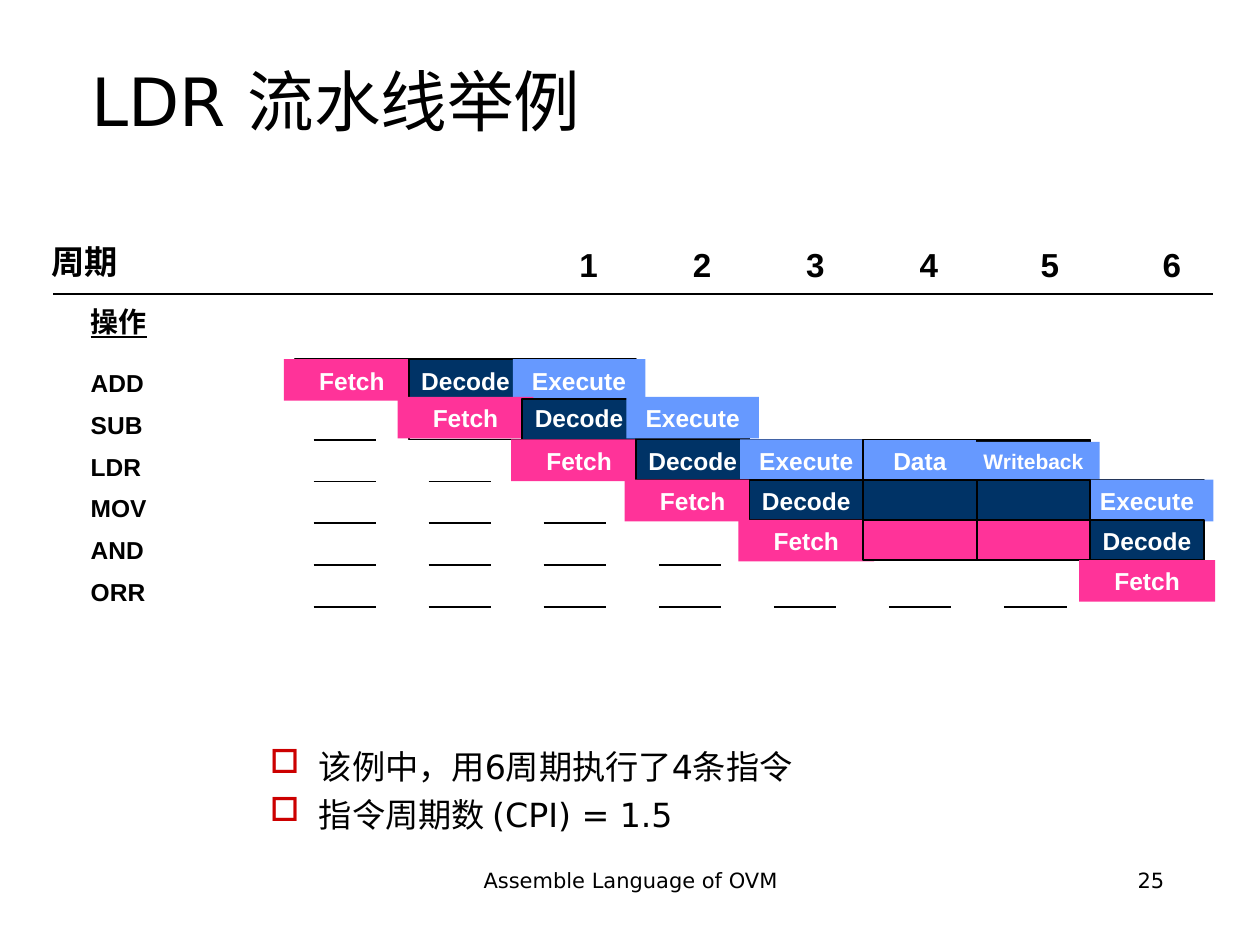
from dataclasses import dataclass

from lxml import etree
from pptx import Presentation
from pptx import util as u
from pptx.dml.color import RGBColor
from pptx.enum import shapes, text
from pptx.oxml.ns import qn


@dataclass(frozen=True)
class Theme:
    body_font: str = "DejaVu Sans"
    diagram_font: str = "Arial"
    ink: str = "000000"
    light: str = "FFFFFF"
    bullet: str = "CC0000"
    grey: str = "DDDDDD"
    pink: str = "FF3399"
    navy: str = "003366"
    blue: str = "6699FF"
    title_size: int = 38
    heading_size: int = 19
    subheading_size: int = 16
    label_size: int = 14
    small_size: int = 12


THEME = Theme()
TITLE = "LDR 流水线举例"
CONCLUSIONS = ["该例中，用6周期执行了4条指令", "指令周期数 (CPI) = 1.5"]
FOOTER, PAGE = "Assemble Language of OVM", "25"
CYCLES = "\t1\t2\t3\t4\t5\t6"
CYCLE_TABS = [0.66, 2.95, 5.23, 7.52, 9.96, 12.42]

# instruction, dashes before it, its stages as (column, stage)
PIPELINE = [
    ("ADD", 0, [(0, "Fetch"), (1, "Decode"), (2, "Execute")]),
    ("SUB", 1, [(1, "Fetch"), (2, "Decode"), (3, "Execute")]),
    ("LDR", 2, [(2, "Fetch"), (3, "Decode"), (4, "Execute"), (5, "Data"), (6, "Writeback")]),
    ("MOV", 3, [(3, "Fetch"), (4, "Decode"), (7, "Execute"),
                (5, "Decode stall"), (6, "Decode stall")]),
    ("AND", 4, [(4, "Fetch"), (7, "Decode"), (5, "Fetch stall"), (6, "Fetch stall")]),
    ("ORR", 7, [(7, "Fetch")]),
]
# stage: cell colour, label colour (None is clear), label width
STAGES = {
    "Fetch": (THEME.grey, THEME.pink, 2.74),
    "Decode": (THEME.navy, None, 2.74),
    "Execute": (THEME.ink, THEME.blue, 2.67),
    "Data": (THEME.blue, None, 2.67),
    "Writeback": (THEME.ink, THEME.blue, 2.67),
}
STALLS = {"Decode stall": THEME.navy, "Fetch stall": THEME.pink}

GRID_LEFT, GRID_TOP, CELL_W, CELL_H = 5.95, 7.24, 2.29, 0.81
LABEL_H = 0.84
NAMES_LEFT, NAMES_TOP, NAME_PITCH = 1.65, 7.42, 0.84
DASH_LEFT, DASH_PITCH, DASH_W, DASH_DROP = 6.32, 2.32, 1.26, 0.61
NARROW, WIDE = (0.18, 0.08), (0.25, 0.13)

prs = Presentation()
prs.slide_width, prs.slide_height = u.Cm(25.4), u.Cm(19.05)
slide = prs.slides.add_slide(prs.slide_layouts[6])


def cm(*lengths):
    return [u.Cm(length) for length in lengths]


def write(shape, lines, size, font=THEME.diagram_font, colour=THEME.ink, bold=False,
          align=text.PP_ALIGN.LEFT, anchor=text.MSO_ANCHOR.TOP, inset=WIDE, spacing=None):
    """Fill a shape with one paragraph per line and return the paragraphs."""
    frame = shape.text_frame
    frame.word_wrap = True
    frame.vertical_anchor = anchor
    frame.margin_left = frame.margin_right = u.Cm(inset[0])
    frame.margin_top = frame.margin_bottom = u.Cm(inset[1])
    for i, line in enumerate(lines):
        paragraph = frame.add_paragraph() if i else frame.paragraphs[0]
        paragraph.text = line
        paragraph.alignment = align
        if spacing:
            paragraph.line_spacing = spacing
        paragraph.font.name = font
        paragraph.font.size = u.Pt(size)
        paragraph.font.bold = bold
        paragraph.font.color.rgb = RGBColor.from_string(colour)
    return frame.paragraphs


def add_text(box, lines, size, **style):
    return write(slide.shapes.add_textbox(*cm(*box)), lines, size, **style)


def add_block(box, fill, outlined=False):
    block = slide.shapes.add_shape(shapes.MSO_SHAPE.RECTANGLE, *cm(*box))
    block.shadow.inherit = False
    block.fill.solid()
    block.fill.fore_color.rgb = RGBColor.from_string(fill)
    if outlined:
        block.line.color.rgb = RGBColor.from_string(THEME.ink)
        block.line.width = u.Pt(1)
    else:
        block.line.fill.background()
    return block


def add_rule(left, right, y):
    rule = slide.shapes.add_connector(shapes.MSO_CONNECTOR.STRAIGHT, *cm(left, y, right, y))
    rule.line.color.rgb = RGBColor.from_string(THEME.ink)
    rule.line.width = u.Pt(1)
    etree.SubElement(rule._element.spPr, qn("a:effectLst"))


def add_tabs(paragraph, stops):
    properties = paragraph._p.get_or_add_pPr()
    tabs = etree.Element(qn("a:tabLst"))
    for stop in stops:
        etree.SubElement(tabs, qn("a:tab"), pos=str(u.Cm(stop)), algn="l")
    defaults = properties.find(qn("a:defRPr"))
    defaults.addprevious(tabs)


def add_bullet(paragraph):
    properties = paragraph._p.get_or_add_pPr()
    properties.set("marL", str(u.Cm(0.99)))
    properties.set("indent", str(u.Cm(-0.99)))
    colour = etree.Element(qn("a:buClr"))
    etree.SubElement(colour, qn("a:srgbClr"), val=THEME.bullet)
    defaults = properties.find(qn("a:defRPr"))
    defaults.addprevious(colour)
    defaults.addprevious(etree.Element(qn("a:buChar"), char="□"))


def add_stage(row, column, stage):
    x, y = GRID_LEFT + column * CELL_W, GRID_TOP + row * CELL_H
    cell = (x, y, CELL_W, CELL_H)
    if stage in STALLS:
        add_block(cell, STALLS[stage], outlined=True)
        return
    cell_fill, label_fill, width = STAGES[stage]
    add_block(cell, cell_fill, outlined=True)
    size, height = THEME.label_size, LABEL_H
    if row == 1:
        y -= 0.05
    if stage == "Writeback":
        size, height, y = THEME.small_size, 0.76, y + 0.05
    box = (x - (width - CELL_W) / 2, y, width, height)
    label = add_block(box, label_fill) if label_fill else slide.shapes.add_textbox(*cm(*box))
    write(label, [stage], size, colour=THEME.light, bold=True, align=text.PP_ALIGN.CENTER)


add_text((8.69, 17.35, 8.05, 1.32), [FOOTER], THEME.small_size, font=THEME.body_font,
         align=text.PP_ALIGN.CENTER)
add_text((18.21, 17.35, 5.51, 1.32), [PAGE], THEME.small_size, font=THEME.body_font,
         align=text.PP_ALIGN.RIGHT)
add_text((1.6, 0.84, 22.23, 2.11), [TITLE], THEME.title_size, font=THEME.body_font,
         anchor=text.MSO_ANCHOR.BOTTOM)
conclusions = add_text((5.26, 14.96, 15.97, 1.93), CONCLUSIONS, THEME.heading_size,
                       font=THEME.body_font, anchor=text.MSO_ANCHOR.MIDDLE, inset=NARROW)
for conclusion in conclusions:
    add_bullet(conclusion)
for conclusion in conclusions[1:]:
    conclusion.space_before = u.Pt(4.8)

add_text((0.86, 4.88, 2.5, 0.86), ["周期"], THEME.heading_size, bold=True,
         inset=NARROW, spacing=0.88)
operation = add_text((NAMES_LEFT, 6.15, 2.5, 0.74), ["操作"], THEME.subheading_size,
                     bold=True, inset=NARROW, spacing=0.88)[0]
operation.font.underline = True
cycles = add_text((10.77, 4.88, 13.8, 0.99), [CYCLES], THEME.heading_size, bold=True,
                  spacing=0.9)[0]
add_tabs(cycles, CYCLE_TABS)
add_rule(1.07, 24.46, 5.92)

for row, (instruction, dashes, stages) in enumerate(PIPELINE):
    name_top = NAMES_TOP + row * NAME_PITCH
    add_text((NAMES_LEFT, name_top, 2, 0.66), [instruction], THEME.label_size, bold=True,
             inset=NARROW, spacing=0.88)
    for column, stage in stages:
        add_stage(row, column, stage)
    for dash in range(dashes):
        left = DASH_LEFT + dash * DASH_PITCH
        add_rule(left, left + DASH_W, name_top + DASH_DROP)

prs.save("out.pptx")
